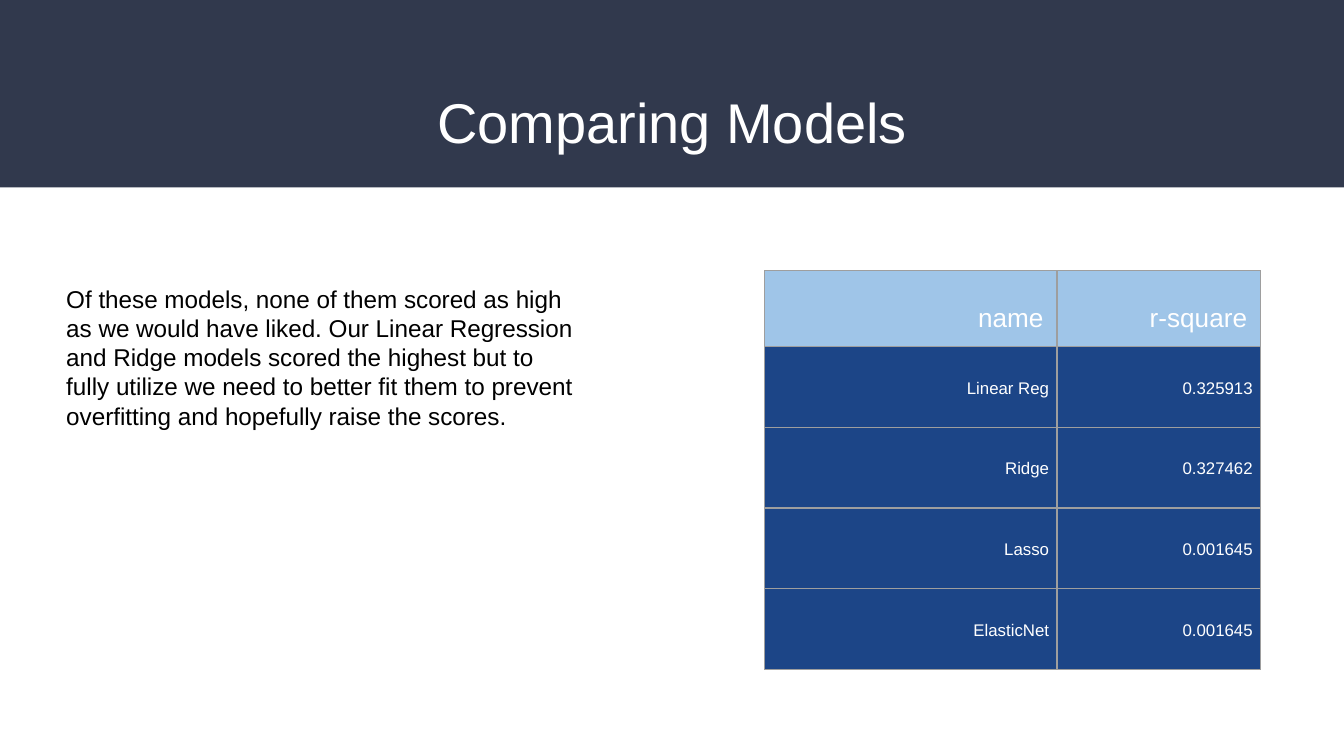
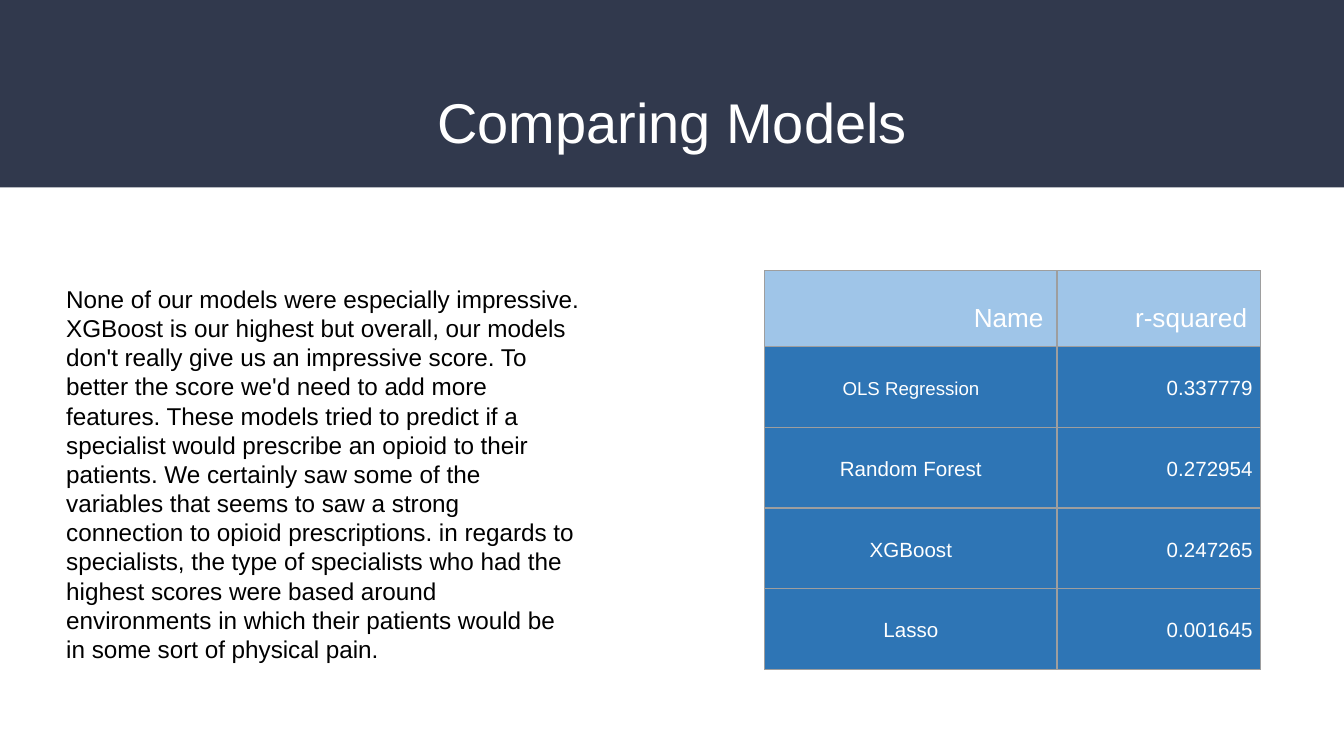
from dataclasses import dataclass
from typing import NamedTuple

from lxml import etree
from pptx import Presentation
from pptx.dml.color import RGBColor
from pptx.enum.shapes import MSO_SHAPE as Shape
from pptx.enum.text import MSO_ANCHOR as Anchor, PP_ALIGN as Align
from pptx.oxml.ns import qn
from pptx.util import Emu, Pt

# Scale: 200 px to the inch
SCALE = 4572
WIDE, HIGH = 2000, 1125

# Shared look
FONT = "Arial"
WHITE = RGBColor(0xFF, 0xFF, 0xFF)
BLACK = RGBColor(0x00, 0x00, 0x00)
SLATE = RGBColor(0x31, 0x39, 0x4D)
SKY = RGBColor(0x9F, 0xC5, 0xE8)
NAVY = RGBColor(0x1C, 0x45, 0x87)
BLUE = RGBColor(0x2E, 0x75, 0xB5)
GREY = RGBColor(0x9E, 0x9E, 0x9E)

# Body and table grid
TOP = 403
COLS = (435, 303)
HEAD_H, ROW_H = 113, 120


class Box(NamedTuple):
    left: int
    top: int
    width: int
    height: int


class Score(NamedTuple):
    name: str
    value: str
    size: int = 11  # point size of the name


@dataclass(frozen=True)
class Page:
    body: str
    head: tuple[str, str]
    scores: tuple[Score, ...]
    fill: RGBColor
    align: Align  # names
    size: int  # values


PAGES = (
    Page(
        body="Of these models, none of them scored as high as we would have liked. "
        "Our Linear Regression and Ridge models scored the highest but to fully "
        "utilize we need to better fit them to prevent overfitting and hopefully "
        "raise the scores.",
        head=("name", "r-square"),
        scores=(
            Score("Linear Reg", "0.325913", 9),
            Score("Ridge", "0.327462", 9),
            Score("Lasso", "0.001645", 9),
            Score("ElasticNet", "0.001645", 9),
        ),
        fill=NAVY,
        align=Align.RIGHT,
        size=9,
    ),
    Page(
        body="None of our models were especially impressive. XGBoost is our highest "
        "but overall, our models don't really give us an impressive score. To better "
        "the score we'd need to add more features. These models tried to predict if "
        "a specialist would prescribe an opioid to their patients. We certainly saw "
        "some of the variables that seems to saw a strong connection to opioid "
        "prescriptions. in regards to specialists, the type of specialists who had "
        "the highest scores were based around environments in which their patients "
        "would be in some sort of physical pain.",
        head=("Name", "r-squared"),
        scores=(
            Score("OLS Regression", "0.337779", 10),
            Score("Random Forest", "0.272954"),
            Score("XGBoost", "0.247265"),
            Score("Lasso", "0.001645"),
        ),
        fill=BLUE,
        align=Align.CENTER,
        size=11,
    ),
)


def px(num: int) -> Emu:
    return Emu(num * SCALE)


def place(box: Box) -> list[Emu]:
    return [px(num) for num in box]


def pad(item, gap: int) -> None:
    """Set equal margins on a text frame or a table cell."""
    item.margin_left = item.margin_right = px(gap)
    item.margin_top = item.margin_bottom = px(gap)


def write(frame, text: str, *, size: int, color: RGBColor = WHITE,
          align: Align = Align.LEFT, line: float | None = None,
          before: int | None = None) -> None:
    para = frame.paragraphs[0]
    para.alignment = align
    if line is not None:
        para.line_spacing = line
    if before is not None:
        para.space_before = Pt(before)
    run = para.add_run()
    run.text = text
    run.font.name = FONT
    run.font.size = Pt(size)
    run.font.color.rgb = color


def add_text(slide, box: Box, text: str, **style) -> None:
    frame = slide.shapes.add_textbox(*place(box)).text_frame
    frame.word_wrap = True
    pad(frame, 20)
    write(frame, text, **style)


def add_band(slide, box: Box) -> None:
    band = slide.shapes.add_shape(Shape.RECTANGLE, *place(box))
    band.shadow.inherit = False
    band.fill.solid()
    band.fill.fore_color.rgb = SLATE
    band.line.fill.background()


def rule(cell) -> None:
    """Draw the four cell borders, which come before the cell fill."""
    props = cell._tc.get_or_add_tcPr()
    for spot, side in enumerate(("lnL", "lnR", "lnT", "lnB")):
        edge = etree.Element(qn(f"a:{side}"), w=str(Pt(0.75)))
        fill = etree.SubElement(edge, qn("a:solidFill"))
        etree.SubElement(fill, qn("a:srgbClr"), val=str(GREY))
        props.insert(spot, edge)


def fill_cell(cell, text: str, fill: RGBColor, gap: int, anchor: Anchor,
              **style) -> None:
    cell.fill.solid()
    cell.fill.fore_color.rgb = fill
    cell.vertical_anchor = anchor
    pad(cell, gap)
    rule(cell)
    write(cell.text_frame, text, **style)


def add_grid(slide, page: Page, left: int, top: int) -> None:
    count = len(page.scores)
    box = Box(left, top, sum(COLS), HEAD_H + count * ROW_H)
    grid = slide.shapes.add_table(count + 1, len(COLS), *place(box)).table
    grid.first_row = grid.horz_banding = False
    for col, width in zip(grid.columns, COLS):
        col.width = px(width)
    for spot, row in enumerate(grid.rows):
        row.height = px(ROW_H if spot else HEAD_H)

    # Header
    for col, text in enumerate(page.head):
        fill_cell(grid.cell(0, col), text, SKY, 20, Anchor.BOTTOM,
                  size=14, align=Align.RIGHT)

    # Scores
    for row, score in enumerate(page.scores, 1):
        parts = ((score.name, score.size, page.align),
                 (score.value, page.size, Align.RIGHT))
        for col, (text, size, align) in enumerate(parts):
            fill_cell(grid.cell(row, col), text, page.fill, 12, Anchor.MIDDLE,
                      size=size, align=align, line=1.15, before=9)


def add_page(deck, page: Page) -> None:
    slide = deck.slides.add_slide(deck.slide_layouts[6])
    add_band(slide, Box(0, 0, WIDE, 279))
    add_text(slide, Box(68, 110, 1864, 136), "Comparing Models",
             size=30, align=Align.CENTER)
    add_grid(slide, page, 1138, TOP)
    add_text(slide, Box(79, TOP, 803, 594), page.body, size=13, color=BLACK)


def main() -> None:
    deck = Presentation()
    deck.slide_width, deck.slide_height = px(WIDE), px(HIGH)
    for page in PAGES:
        add_page(deck, page)
    deck.save("out.pptx")


if __name__ == "__main__":
    main()
